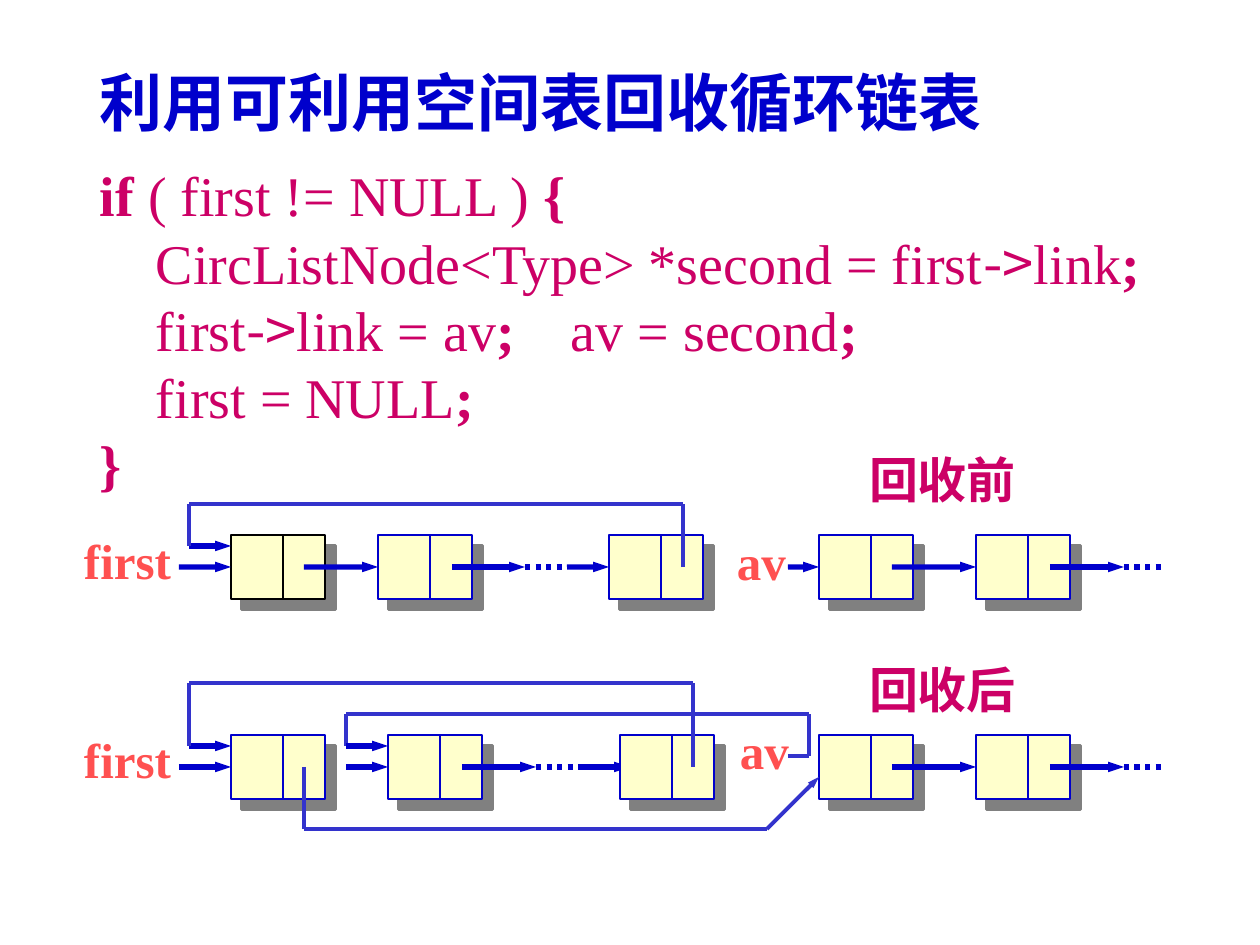
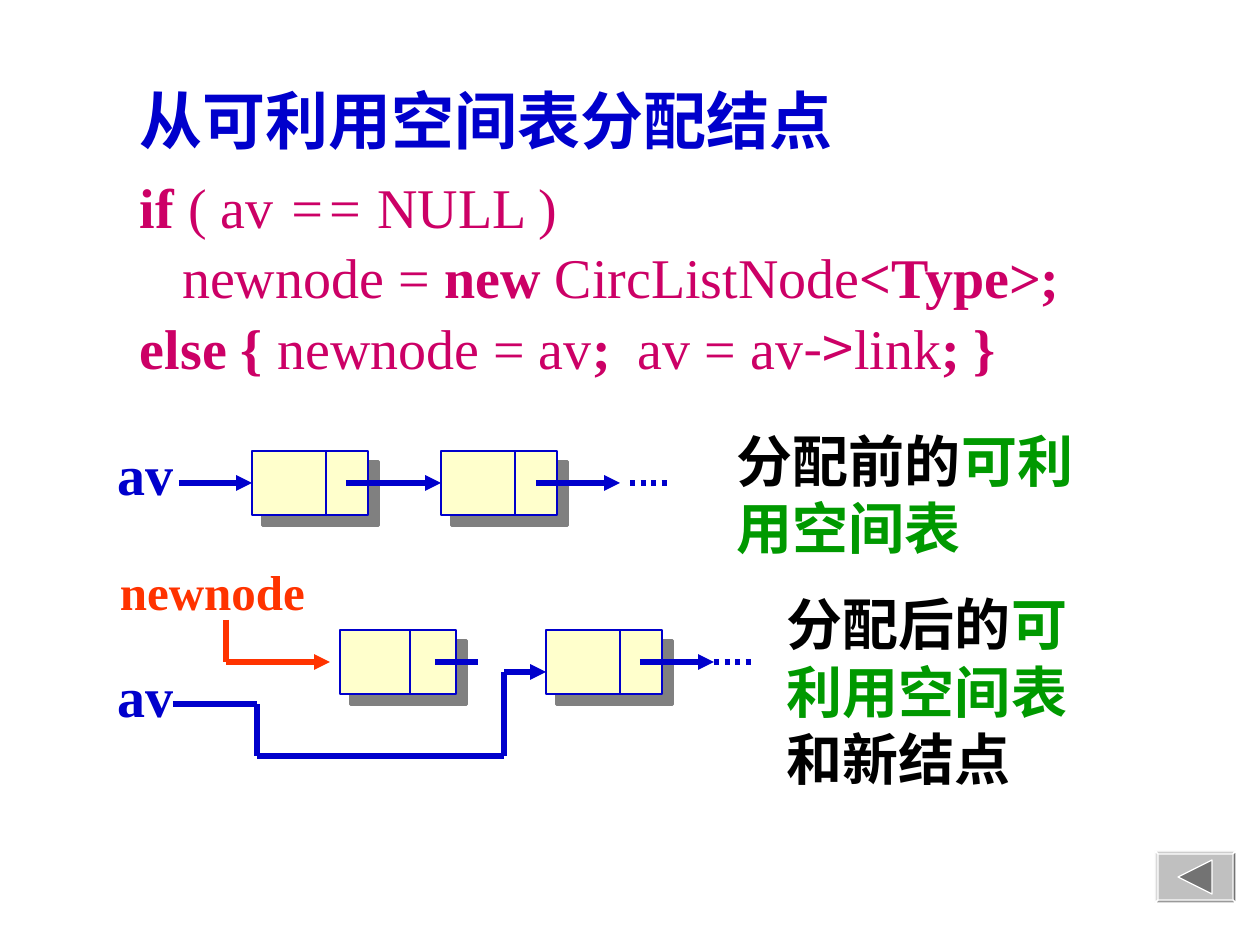
from dataclasses import dataclass

from lxml import etree
from pptx import Presentation
from pptx import util as u
from pptx.dml.color import RGBColor
from pptx.enum import dml, shapes, text
from pptx.oxml.ns import qn

PX = 914400 / 126
COLORS = {
    "blue": "0000CC", "indigo": "3333CC", "magenta": "CC0066", "coral": "FF5050",
    "red": "FF3300", "green": "009900", "black": "000000", "cream": "FFFFCC",
    "shadow": "808080", "white": "FFFFFF", "face": "C0C0C0", "lit": "CDCDCD",
    "bright": "D9D9D9", "dim": "9A9A9A", "dark": "737373",
}
SERIF, CJK = "Times New Roman", "Noto Sans CJK SC"
TITLE_INSET, LABEL_INSET = (15, 8), (12, 6)
NODE_HEIGHT = 64


@dataclass(frozen=True)
class Span:
    words: str
    bold: bool = False
    italic: bool = False
    font: str = SERIF
    color: str = ""


@dataclass(frozen=True)
class Block:
    """A text box; leading is the line height in multiples of the text size."""
    left: int
    top: int
    width: int
    height: int
    size: int
    color: str
    lines: tuple[tuple[Span, ...], ...]
    inset: tuple[int, int] = LABEL_INSET
    leading: float = 1.2
    tabs: tuple[int, ...] = ()


@dataclass(frozen=True)
class Node:
    left: int
    top: int
    width: int = 94
    split: int = 52
    color: str = "blue"
    split_weight: float = 1.5


@dataclass(frozen=True)
class Wire:
    points: tuple[tuple[int, int], ...]
    arrow: bool = True
    color: str = "blue"
    weight: float = 3
    dotted: bool = False


def px(length: float) -> int:
    return round(length * PX)


def rgb(name: str) -> RGBColor:
    return RGBColor.from_string(COLORS[name])


def plain(words: str) -> Span:
    return Span(words)


def bold(words: str, color: str = "") -> Span:
    return Span(words, bold=True, color=color)


def label(left: int, top: int, width: int, words: str, color: str, size: int = 28) -> Block:
    return Block(left, top, width, 81 if size == 32 else 72, size, color, ((bold(words),),))


def title(left: int, top: int, width: int, words: str) -> Block:
    return Block(left, top, width, 91, 36, "blue", ((bold(words),),), TITLE_INSET)


def flow(*xs: int, y: int, arrow: bool = True, dotted: bool = False) -> Wire:
    return Wire(tuple((x, y) for x in xs), arrow, dotted=dotted)


def detour(*points: tuple[int, int], arrow: bool = False) -> Wire:
    return Wire(points, arrow, "indigo", 2.25)


def add_block(page, block: Block) -> None:
    box = page.shapes.add_textbox(*map(px, (block.left, block.top, block.width, block.height)))
    frame = box.text_frame
    frame.word_wrap = True
    frame.auto_size = text.MSO_AUTO_SIZE.SHAPE_TO_FIT_TEXT
    frame.margin_left = frame.margin_right = px(block.inset[0])
    frame.margin_top = frame.margin_bottom = px(block.inset[1])
    for number, line in enumerate(block.lines):
        para = frame.add_paragraph() if number else frame.paragraphs[0]
        para.line_spacing = u.Pt(block.size * block.leading)
        if block.tabs:
            stops = etree.SubElement(para._p.get_or_add_pPr(), qn("a:tabLst"))
            for stop in block.tabs:
                etree.SubElement(stops, qn("a:tab"), pos=str(px(stop)), algn="l")
        for span in line:
            run = para.add_run()
            run.text = span.words
            run.font.size = u.Pt(block.size)
            run.font.bold, run.font.italic = span.bold, span.italic
            run.font.color.rgb = rgb(span.color or block.color)
            run.font.name = span.font
            etree.SubElement(run._r.get_or_add_rPr(), qn("a:ea"), typeface=CJK)


def add_segment(page, start: tuple[int, int], end: tuple[int, int], color: str, weight: float):
    line = page.shapes.add_connector(shapes.MSO_CONNECTOR.STRAIGHT, *map(px, start + end))
    line.line.color.rgb = rgb(color)
    line.line.width = u.Pt(weight)
    etree.SubElement(line._element.spPr, qn("a:effectLst"))
    return line


def add_node(page, node: Node):
    """Draw a two-field list node with its hard shadow."""
    box = page.shapes.add_shape(shapes.MSO_SHAPE.RECTANGLE, *map(
        px, (node.left, node.top, node.width, NODE_HEIGHT)))
    box.fill.solid()
    box.fill.fore_color.rgb = rgb("cream")
    box.line.color.rgb = rgb(node.color)
    box.line.width = u.Pt(1.5)
    box.shadow.inherit = False
    effects = box._element.spPr.find(qn("a:effectLst"))
    shadow = etree.SubElement(effects, qn("a:outerShdw"), blurRad="0",
                              dist=str(u.Pt(8.5)), dir="2700000", algn="ctr", rotWithShape="0")
    etree.SubElement(shadow, qn("a:srgbClr"), val=COLORS["shadow"])
    x = node.left + node.split
    add_segment(page, (x, node.top), (x, node.top + NODE_HEIGHT), node.color, node.split_weight)
    return box


def add_wire(page, wire: Wire, entries: dict, head: str) -> None:
    """Draw a polyline; its last leg is joined to the node it enters, if any."""
    for start, end in zip(wire.points, wire.points[1:]):
        leg = add_segment(page, start, end, wire.color, wire.weight)
        if wire.dotted:
            leg.line.dash_style = dml.MSO_LINE.ROUND_DOT
        if end == wire.points[-1]:
            if wire.arrow:
                etree.SubElement(leg._element.spPr.find(qn("a:ln")), qn("a:tailEnd"),
                                 type="triangle", w=head, len="med")
            if end in entries:
                leg.end_connect(entries[end], 1)


def add_diagram(page, nodes: list[Node], wires: list[Wire], head: str) -> None:
    entries = {(node.left, node.top + NODE_HEIGHT // 2): add_node(page, node) for node in nodes}
    for wire in wires:
        add_wire(page, wire, entries, head)


def add_back_button(page) -> None:
    left, top, right, bottom, bevel = 1155, 851, 1236, 903, 3
    outer = [(left, top), (right, top), (right, bottom), (left, bottom)]
    inner = [(left + bevel, top + bevel), (right - bevel, top + bevel),
             (right - bevel, bottom - bevel), (left + bevel, bottom - bevel)]
    facets = [("face", outer)]
    for side, color in enumerate(("lit", "dark", "dim", "bright")):
        after = (side + 1) % 4
        facets.append((color, [outer[side], outer[after], inner[after], inner[side]]))
    facets.append(("dark", [(1178, 877), (1212, 860), (1212, 894)]))
    for color, corners in facets:
        builder = page.shapes.build_freeform(*corners[0], scale=PX)
        builder.add_line_segments(corners[1:], close=True)
        facet = builder.convert_to_shape()
        facet.fill.solid()
        facet.fill.fore_color.rgb = rgb(color)
        facet.line.color.rgb = rgb("white")
        facet.line.width = u.Pt(0.75)
        facet.shadow.inherit = False


ARROW = Span("->", font=CJK)


def build_recycling(page) -> None:
    code = (
        (bold("if"), plain(" ( first != NULL ) "), bold("{")),
        (plain("\tCircListNode<Type> *second = first"), ARROW, plain("link"), bold(";")),
        (plain("\tfirst"), ARROW, plain("link = av"), bold(";"),
         plain("\tav = second"), bold(";")),
        (plain("\tfirst = NULL"), bold(";")),
        (bold("}"),),
    )
    add_block(page, Block(85, 153, 1134, 352, 32, "magenta", code, TITLE_INSET,
                          tabs=(56, 471)))
    add_block(page, title(85, 56, 1061, "利用可利用空间表回收循环链表"))

    before, after = 567, 767
    add_wire(page, flow(578, 630, y=after), {}, "sm")
    nodes = [Node(231, before - 32, color="black", split_weight=0.75)]
    nodes += [Node(x, before - 32) for x in (378, 609, 819, 976)]
    nodes += [Node(x, after - 32) for x in (231, 388, 620, 819, 976)]
    wires = [
        flow(304, 378, y=before), flow(452, 525, y=before), flow(567, 609, y=before),
        flow(525, 567, y=before, arrow=False, dotted=True), flow(788, 819, y=before),
        flow(346, 388, y=after), flow(462, 536, y=after),
        flow(536, 578, y=after, arrow=False, dotted=True),
        detour((304, after), (304, 829), (767, 829), (819, 777), arrow=True),
        detour((788, 756), (809, 756), (809, 714), (346, 714), (346, 746)),
        flow(346, 388, y=746),
    ]
    for y, tail, top in ((before, 683, 504), (after, 693, 683)):
        wires += [
            flow(179, 231, y=y), flow(189, 231, y=y - 21),
            detour((tail, y), (tail, top), (189, top), (189, y - 21)),
            flow(892, 976, y=y), flow(1050, 1124, y=y),
            flow(1124, 1166, y=y, arrow=False, dotted=True),
        ]
    add_diagram(page, nodes, wires, "sm")

    for block in (
        label(72, 525, 122, "first", "coral"), label(72, 724, 122, "first", "coral"),
        label(725, 526, 86, "av", "coral"), label(728, 715, 86, "av", "coral"),
        label(857, 444, 180, "回收前", "magenta"),
        label(857, 654, 180, "回收后", "magenta"),
    ):
        add_block(page, block)


def build_allocation(page) -> None:
    code = (
        (bold("if"), plain(" ( av "), Span("==", italic=True), plain(" NULL )")),
        (plain("\tnewnode = "), bold("new"), plain(" CircListNode"), bold("<Type>;")),
        (bold("else {"), plain(" newnode = av"), bold(";"), plain("\tav = av"), ARROW,
         plain("link"), bold("; }")),
    )
    add_block(page, Block(125, 161, 1125, 227, 32, "magenta", code, TITLE_INSET,
                          1.26, (42, 498)))
    add_block(page, title(125, 74, 745, "从可利用空间表分配结点"))

    before, after = 483, 662
    nodes = [Node(x, y - 32, 116, split) for x, y, split in (
        (252, before, 74), (441, before, 74), (340, after, 70), (546, after, 74))]
    wires = [
        flow(179, 252, y=before), flow(346, 441, y=before), flow(536, 620, y=before),
        flow(630, 672, y=before, arrow=False, dotted=True),
        flow(435, 478, y=after, arrow=False), flow(640, 714, y=after),
        flow(714, 756, y=after, arrow=False, dotted=True),
        Wire(((226, 620), (226, after), (330, after)), color="red"),
        Wire(((173, 704), (257, 704), (257, 756), (504, 756), (504, 672), (546, 672))),
    ]
    add_diagram(page, nodes, wires, "med")

    free_list = bold("可利用空间表", "green")
    for block in (
        label(105, 433, 94, "av", "blue", 32), label(105, 655, 94, "av", "blue", 32),
        label(108, 556, 222, "newnode", "red"),
        Block(725, 420, 368, 147, 32, "black", ((bold("分配前的"), free_list),)),
        Block(775, 584, 338, 214, 32, "black",
              ((bold("分配后的"), free_list, bold("和新结点")),)),
    ):
        add_block(page, block)
    add_back_button(page)


def main() -> None:
    deck = Presentation()
    deck.slide_width, deck.slide_height = px(1260), px(945)
    for build in (build_recycling, build_allocation):
        build(deck.slides.add_slide(deck.slide_layouts[6]))
    deck.save("out.pptx")


if __name__ == "__main__":
    main()
